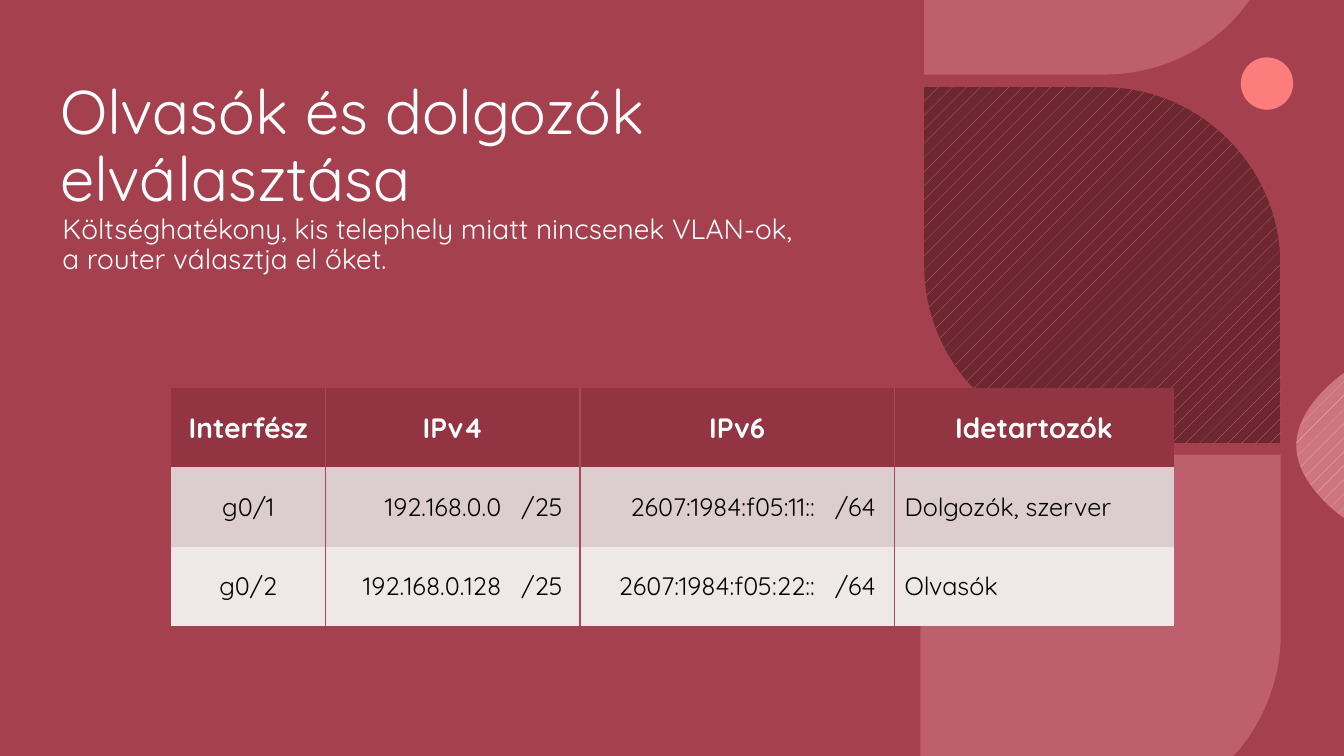
from lxml.etree import SubElement
from pptx import Presentation
from pptx.dml.color import RGBColor
from pptx.enum.dml import MSO_PATTERN
from pptx.enum.shapes import MSO_SHAPE
from pptx.enum.text import MSO_ANCHOR, MSO_AUTO_SIZE, PP_ALIGN
from pptx.oxml import parse_xml
from pptx.oxml.ns import nsdecls, qn
from pptx.util import Pt

# Content
TITLE = "Olvasók és dolgozók elválasztása"
SUBTITLE = "Költséghatékony, kis telephely miatt nincsenek VLAN-ok,\va router választja el őket."
HEADER = ["Interfész", "IPv4", None, "IPv6", None, "Idetartozók"]
ROWS = [
    ["g0/1", "192.168.0.0", "/25", "2607:1984:f05:11::", "/64", "Dolgozók, szerver"],
    ["g0/2", "192.168.0.128", "/25", "2607:1984:f05:22::", "/64", "Olvasók"],
]

# Look
FONT = "Quicksand"
COLORS = {
    "back": "923442", "veil": "C25263", "dot": "FD7C7C", "leaf": "CE7582",
    "leaf_line": "EFD1D5", "dark": "6D2731", "header": "923442", "odd": "DCCECF",
    "even": "EEE8E9", "border": "AA4A59", "white": "FFFFFF", "black": "000000",
}
PAGE_WIDTH, PAGE_HEIGHT = 960, 540
COLUMN_WIDTHS = [110.9, 132.5, 49, 175, 49.7, 199.4]
COLUMN_ALIGNS = [PP_ALIGN.CENTER, PP_ALIGN.RIGHT, PP_ALIGN.LEFT,
                 PP_ALIGN.RIGHT, PP_ALIGN.LEFT, PP_ALIGN.LEFT]
ROW_HEIGHT = 56.6
TABLE_LEFT, TABLE_TOP = 121.9, 277.2
NO_STYLE = "{2D5ABB26-0587-4C30-8999-92F81FD0307C}"

# Leaves: a pair of numbers is a corner, six numbers are a curve to the last pair
TOP_LEAF = [(660.2, 0), (892.8, 0), (887.8, 6.5),
            (864.7, 35.3, 828.7, 53.3, 788.4, 53.3), (660.2, 53.3)]
BOTTOM_LEAF = [(786.2, 324.7), (914.8, 324.7), (914.8, 452.9),
               (914.8, 483.8, 903.6, 512.6, 885.6, 535), (880.6, 540), (657.4, 540),
               (657.4, 453.6), (657.4, 382.3, 715, 324.7, 786.2, 324.7)]
EDGE_LEAF = [(960, 266.4), (960, 370), (960, 370, 925.9, 347, 925.9, 318.2),
             (925.9, 289.4, 960, 266.4, 960, 266.4)]
DARK_LEAF = [(914.7, 316.8), (787.7, 316.8), (717.1, 316.8, 660.2, 259.9, 660.2, 189.4),
             (660.2, 62.3), (787.7, 62.3), (857.5, 62.3, 914.7, 119.5, 914.7, 190.1)]


def color(name):
    return RGBColor.from_string(COLORS[name])


def apply(target, formats):
    for name, value in formats.items():
        setattr(target, name, value)


def style_font(font, size, name, bold=False):
    apply(font, {"name": FONT, "size": Pt(size), "bold": bold})
    font.color.rgb = color(name)


def paint(shape, name, opacity=100):
    shape.shadow.inherit = False
    shape.line.fill.background()
    shape.fill.solid()
    shape.fill.fore_color.rgb = color(name)
    if opacity < 100:
        tint = shape._element.spPr.find(qn("a:solidFill"))[0]
        SubElement(tint, qn("a:alpha"), val=str(opacity * 1000))


def add_preset(page, kind, place, name, opacity=100):
    paint(page.shapes.add_shape(kind, *map(Pt, place)), name, opacity)


def add_leaf(page, steps):
    points = [(Pt(step[i]), Pt(step[i + 1]))
              for step in steps for i in range(0, len(step), 2)]
    builder = page.shapes.build_freeform(*points[0])
    builder.add_line_segments(points[1:], close=True)
    leaf = builder.convert_to_shape()
    # Each curve gathers its three points into one Bezier segment
    segments = iter(list(leaf._element.iter(qn("a:lnTo"))))
    for step in steps[1:]:
        segment = next(segments)
        if len(step) == 6:
            segment.tag = qn("a:cubicBezTo")
            for _ in range(2):
                extra = next(segments)
                segment.append(extra[0])
                extra.getparent().remove(extra)
    leaf.shadow.inherit = False
    leaf.line.fill.background()
    return leaf


def fill_placeholder(box, text, place, size, anchor):
    left, top, width, height = map(Pt, place)
    apply(box, {"left": left, "top": top, "width": width, "height": height})
    frame = box.text_frame
    apply(frame, {"text": text, "word_wrap": True, "vertical_anchor": anchor,
                  "auto_size": MSO_AUTO_SIZE.NONE})
    para = frame.paragraphs[0]
    properties = para._p.get_or_add_pPr()
    apply(para, {"alignment": PP_ALIGN.LEFT, "line_spacing": 0.9, "space_before": Pt(0)})
    properties.set("marL", "0")
    properties.set("indent", "0")
    SubElement(properties, qn("a:buNone"))
    for span in para.runs:
        style_font(span.font, size, "white")


def set_borders(cell, drawn_side):
    properties = cell._tc.get_or_add_tcPr()
    solid = f'<a:solidFill><a:srgbClr val="{COLORS["border"]}"/></a:solidFill>'
    for place, side in enumerate(("lnL", "lnR", "lnT", "lnB")):
        fill = solid if side == drawn_side else "<a:noFill/>"
        properties.insert(place, parse_xml(
            f'<a:{side} {nsdecls("a")} w="12700">{fill}</a:{side}>'))


deck = Presentation()
apply(deck, {"slide_width": Pt(PAGE_WIDTH), "slide_height": Pt(PAGE_HEIGHT)})
page = deck.slides.add_slide(deck.slide_layouts[1])
page.background.fill.solid()
page.background.fill.fore_color.rgb = color("back")
title, body = page.placeholders
layers = page.shapes._spTree

# Decoration
add_preset(page, MSO_SHAPE.RECTANGLE, (0, 0, PAGE_WIDTH, PAGE_HEIGHT), "veil", 40)
add_preset(page, MSO_SHAPE.OVAL, (886.3, 41, 37.4, 37.4), "dot")
for steps in (TOP_LEAF, BOTTOM_LEAF):
    paint(add_leaf(page, steps), "leaf", 60)
for steps, line_color, fill_color in ((EDGE_LEAF, "leaf_line", "leaf"),
                                      (DARK_LEAF, "leaf", "dark")):
    leaf = add_leaf(page, steps)
    leaf.fill.patterned()
    leaf.fill.pattern = MSO_PATTERN.PERCENT_5
    leaf.fill.fore_color.rgb = color(line_color)
    leaf.fill.back_color.rgb = color(fill_color)

# Title, in front of the decoration
layers.append(title._element)
fill_placeholder(title, TITLE, (36, 27.8, 691.9, 128.9), 44, MSO_ANCHOR.BOTTOM)
title.text_frame.margin_right = Pt(24)

# Address table
lines = [HEADER] + ROWS
frame = page.shapes.add_table(len(lines), len(HEADER), Pt(TABLE_LEFT), Pt(TABLE_TOP),
                              Pt(sum(COLUMN_WIDTHS)), Pt(ROW_HEIGHT * len(lines)))
table = frame.table
table._tbl.tblPr.find(qn("a:tableStyleId")).text = NO_STYLE
for column, width in zip(table.columns, COLUMN_WIDTHS):
    column.width = Pt(width)
for row in table.rows:
    row.height = Pt(ROW_HEIGHT)

for r, (line, fill) in enumerate(zip(lines, ("header", "odd", "even"))):
    for c, text in enumerate(line):
        cell = table.cell(r, c)
        cell.vertical_anchor = MSO_ANCHOR.MIDDLE
        cell.fill.solid()
        cell.fill.fore_color.rgb = color(fill)
        set_borders(cell, "lnL" if c % 2 else "lnR")
        if text is None:
            table.cell(r, c - 1).merge(cell)
            continue
        cell.text = text
        para = cell.text_frame.paragraphs[0]
        para.alignment = COLUMN_ALIGNS[c] if r else PP_ALIGN.CENTER
        if r:
            style_font(para.runs[0].font, 18, "black")
        else:
            style_font(para.runs[0].font, 20, "white", bold=True)

# Subtitle, in front of the table
layers.append(body._element)
fill_placeholder(body, SUBTITLE, (37.4, 150.2, 691.9, 87.8), 20, MSO_ANCHOR.TOP)

deck.save("out.pptx")
